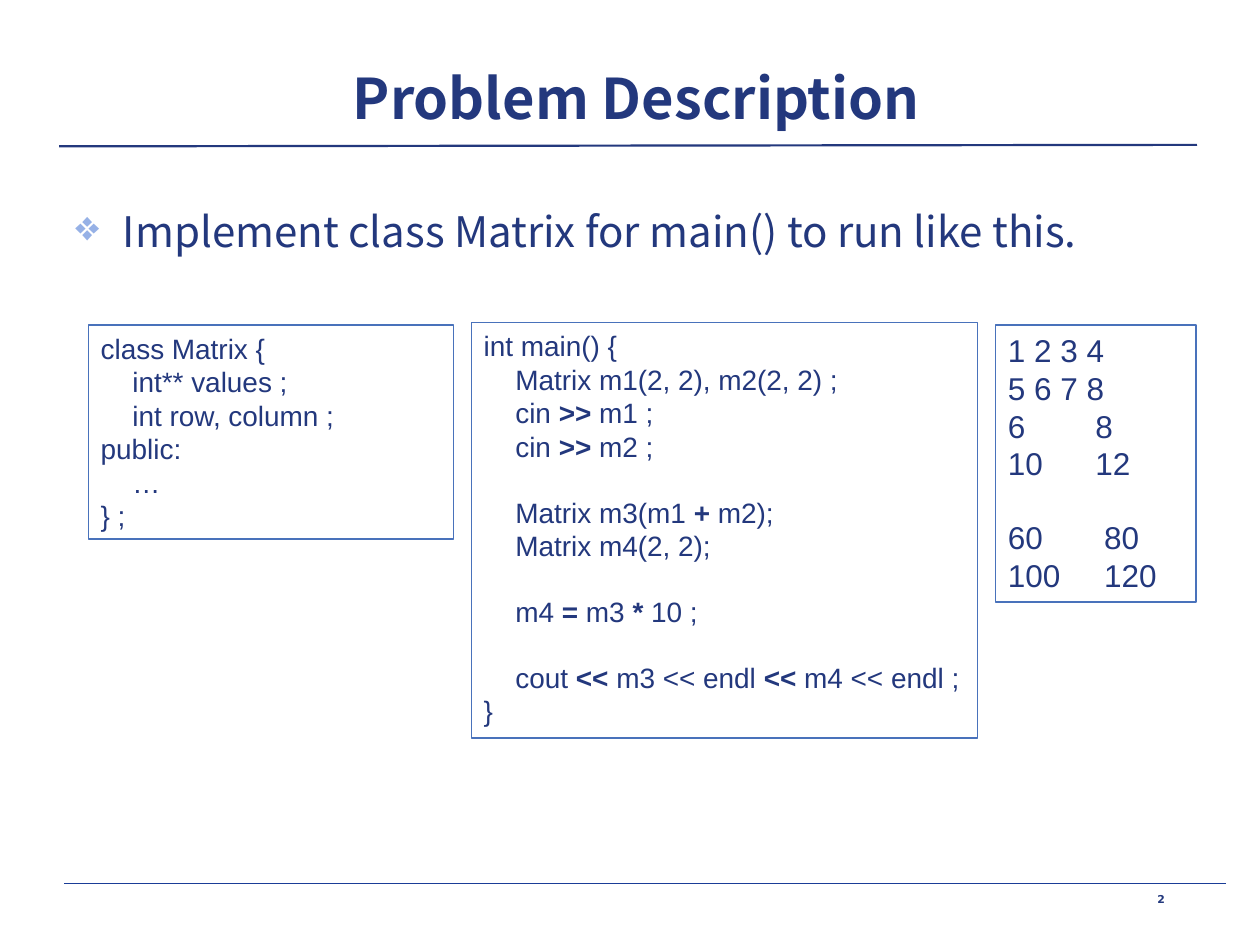
from dataclasses import dataclass

from lxml import etree
from pptx import Presentation
from pptx.dml.color import RGBColor
from pptx.enum.shapes import MSO_CONNECTOR, MSO_SHAPE
from pptx.enum.text import MSO_ANCHOR, MSO_AUTO_SIZE, PP_ALIGN
from pptx.oxml.ns import qn
from pptx.util import Cm, Pt

STRAIGHT = MSO_CONNECTOR.STRAIGHT
RECTANGLE = MSO_SHAPE.RECTANGLE
TOP, MIDDLE = MSO_ANCHOR.TOP, MSO_ANCHOR.MIDDLE
LEFT, CENTER = PP_ALIGN.LEFT, PP_ALIGN.CENTER
NO_FIT = MSO_AUTO_SIZE.NONE
TITLE_ONLY = 5


@dataclass(frozen=True)
class Theme:
    ink: RGBColor = RGBColor(0x23, 0x38, 0x7D)
    footer_rule: RGBColor = RGBColor(0x1A, 0x3D, 0x97)
    border: RGBColor = RGBColor(0x49, 0x72, 0xBB)
    bullet: str = "96B1E6"
    heading_font: str = "Noto Sans CJK KR"
    code_font: str = "Arial"
    number_font: str = "DejaVu Sans"
    title_size: float = 32
    body_size: float = 24
    code_size: float = 16
    output_size: float = 18
    number_size: float = 6.2
    line_height: float = 1.15


THEME = Theme()
CODE_TAB = 0.64

CLASS_CODE = [
    ["class Matrix {"],
    ["\tint** values ;"],
    ["\tint row, column ;"],
    ["public:"],
    ["\t…"],
    ["} ;"],
]
MAIN_CODE = [
    ["int main() {"],
    ["\tMatrix m1(2, 2), m2(2, 2) ;"],
    ["\tcin ", ">>", " m1 ;"],
    ["\tcin ", ">>", " m2 ;"],
    [],
    ["\tMatrix m3(m1 ", "+", " m2);"],
    ["\tMatrix m4(2, 2);"],
    [],
    ["\tm4 ", "=", " m3 ", "*", " 10 ;"],
    [],
    ["\tcout ", "<<", " m3 << endl ", "<<", " m4 << endl ;"],
    ["}"],
]
OUTPUT = [["1 2 3 4"], ["5 6 7 8"], ["6\t8"], ["10\t12"], [], ["60\t80"], ["100\t120"]]
OUTPUT_TABS = [1.76] * 4 + [1.94] * 3


def add_span(para, text, font, size, bold=False):
    span = para.add_run()
    span.text = text
    span.font.name = font
    span.font.size = Pt(size)
    span.font.bold = bold
    span.font.color.rgb = THEME.ink


def add_tab(para, position):
    tabs = etree.SubElement(para._p.get_or_add_pPr(), qn("a:tabLst"))
    etree.SubElement(tabs, qn("a:tab"), pos=str(Cm(position)), algn="l")


def add_bullet(para, symbol, indent):
    properties = para._p.get_or_add_pPr()
    properties.set("marL", str(Cm(indent)))
    properties.set("indent", str(-Cm(indent)))
    color = etree.SubElement(properties, qn("a:buClr"))
    etree.SubElement(color, qn("a:srgbClr"), val=THEME.bullet)
    etree.SubElement(properties, qn("a:buChar"), char=symbol)


def add_rule(page, start, end, color, width):
    rule = page.shapes.add_connector(STRAIGHT, *map(Cm, start + end))
    rule.line.color.rgb = color
    rule.line.width = Pt(width)
    etree.SubElement(rule._element.spPr, qn("a:effectLst"))


def add_title(page, text):
    title = page.shapes.title
    title.left, title.top, title.width, title.height = map(Cm, (1.52, 0.89, 22.61, 2.13))
    frame = title.text_frame
    frame.auto_size = NO_FIT
    frame.vertical_anchor = MIDDLE
    para = frame.paragraphs[0]
    para.alignment = CENTER
    add_span(para, text, THEME.heading_font, THEME.title_size, bold=True)


def add_text_box(page, place):
    box = page.shapes.add_textbox(*map(Cm, place))
    box.text_frame.word_wrap = True
    return box.text_frame.paragraphs[0]


def add_listing(page, place, lines, size, tabs):
    box = page.shapes.add_shape(RECTANGLE, *map(Cm, place))
    box.shadow.inherit = False
    box.fill.background()
    box.line.color.rgb = THEME.border
    box.line.width = Pt(0.75)
    frame = box.text_frame
    frame.word_wrap = True
    frame.vertical_anchor = TOP
    para, gap = frame.paragraphs[0], 0
    for number, (line, tab) in enumerate(zip(lines, tabs)):
        if not line:
            gap = size * THEME.line_height
            continue
        if number:
            para = frame.add_paragraph()
        para.alignment = LEFT
        add_tab(para, tab)
        if gap:
            para.space_before = Pt(gap)
            gap = 0
        for index, text in enumerate(line):
            add_span(para, text, THEME.code_font, size, bold=index % 2 == 1)


def main():
    deck = Presentation()
    deck.slide_width, deck.slide_height = Cm(25.4), Cm(19.05)
    page = deck.slides.add_slide(deck.slide_layouts[TITLE_ONLY])

    add_rule(page, (1.3, 17.81), (24.71, 17.81), THEME.footer_rule, 0.5)
    add_rule(page, (1.19, 2.95), (24.13, 2.92), THEME.ink, 1.25)
    add_title(page, "Problem Description")

    task = add_text_box(page, (1.27, 4.01, 22.86, 2.11))
    add_bullet(task, "❖", 0.96)
    add_span(task, "Implement class Matrix for main() to run like this.",
             THEME.heading_font, THEME.body_size)

    number = add_text_box(page, (20.5, 17.93, 5.82, 0.61))
    number.alignment = CENTER
    number.line_spacing = 0.8
    add_span(number, "2", THEME.number_font, THEME.number_size, bold=True)

    add_listing(page, (1.78, 6.55, 7.37, 4.32), CLASS_CODE,
                THEME.code_size, [CODE_TAB] * len(CLASS_CODE))
    add_listing(page, (9.5, 6.5, 10.21, 8.38), MAIN_CODE,
                THEME.code_size, [CODE_TAB] * len(MAIN_CODE))
    add_listing(page, (20.07, 6.55, 4.04, 5.59), OUTPUT, THEME.output_size, OUTPUT_TABS)

    deck.save("out.pptx")


if __name__ == "__main__":
    main()
